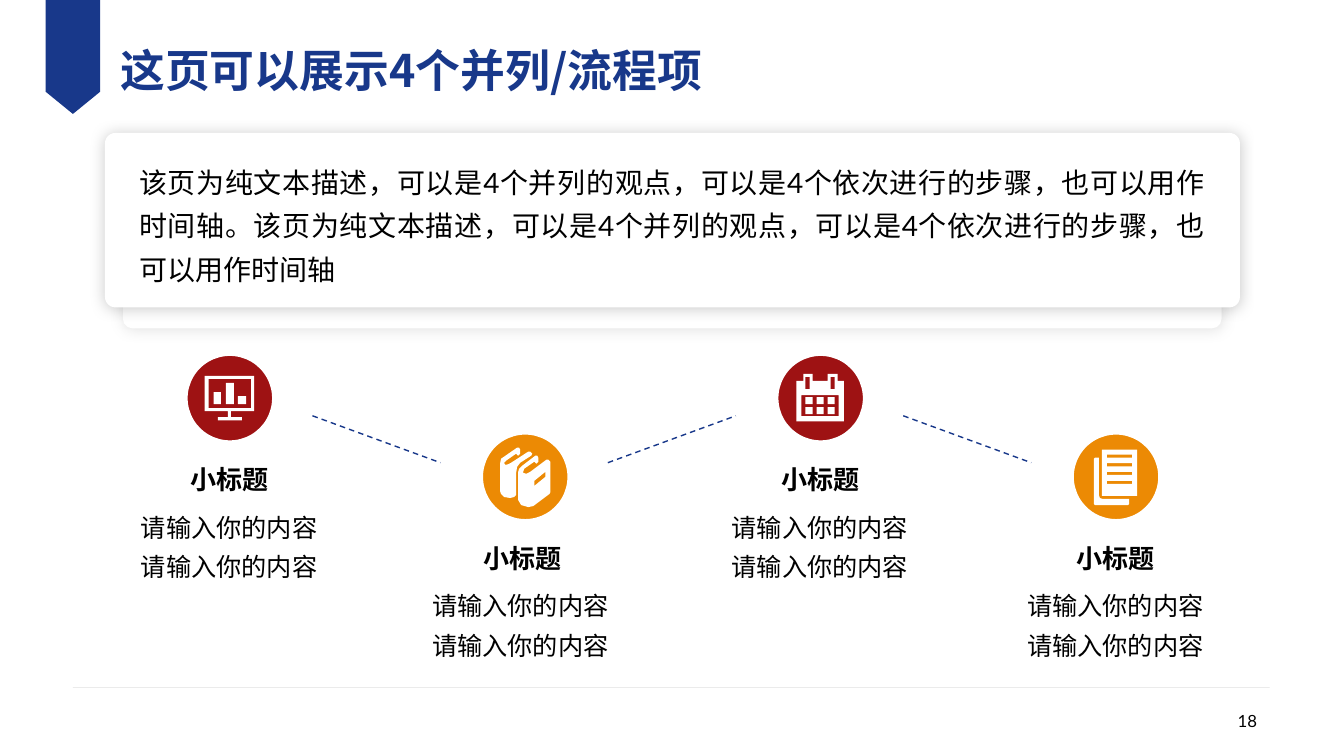
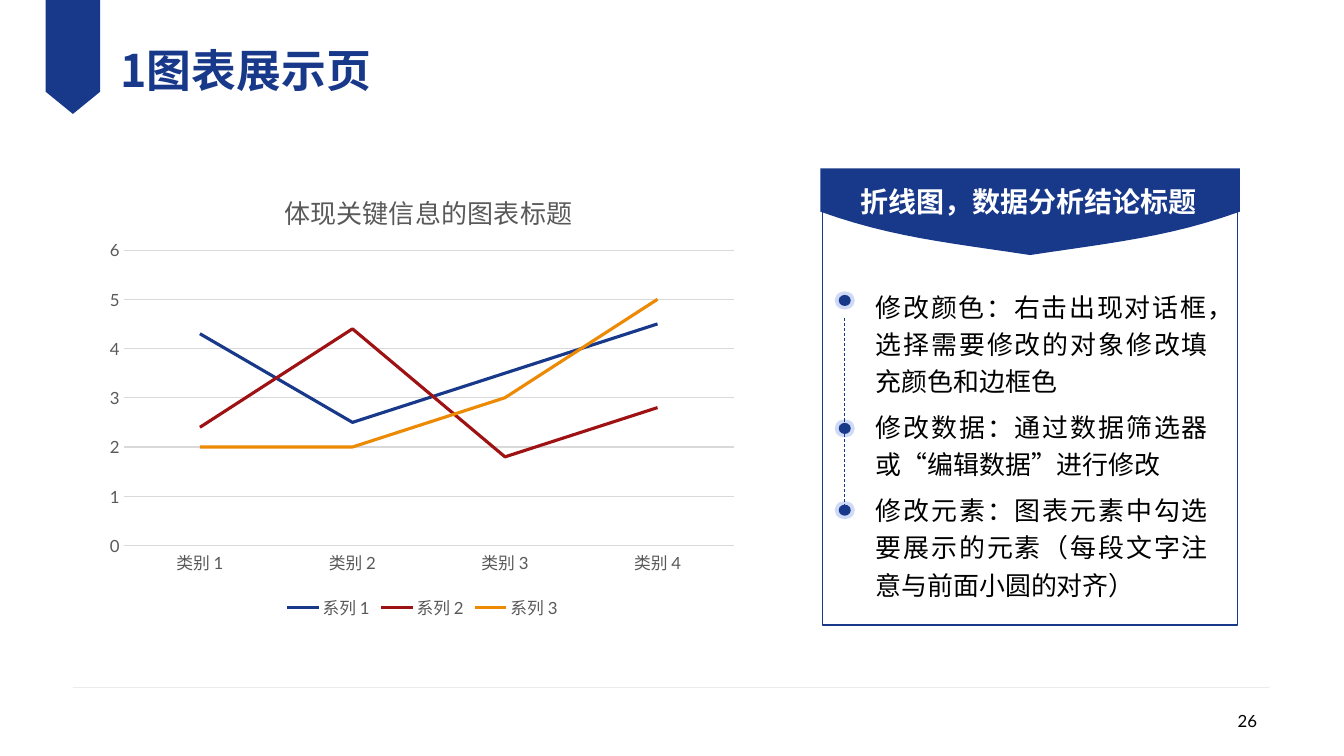
from lxml.etree import SubElement as Sub
from pptx import Presentation
from pptx.chart.data import CategoryChartData as Data
from pptx.dml.color import RGBColor as RGB
from pptx.enum.chart import XL_CHART_TYPE as Kind, XL_LEGEND_POSITION as Spot
from pptx.enum.chart import XL_TICK_MARK as Tick
from pptx.enum.dml import MSO_LINE as Dash
from pptx.enum.shapes import MSO_CONNECTOR as Link, MSO_SHAPE as Form
from pptx.enum.text import MSO_ANCHOR as Anchor, PP_ALIGN as Align
from pptx.oxml import parse_xml
from pptx.oxml.ns import qn
from pptx.util import Pt

BLUE, RED, GOLD, PALE = "18388A", "9E1213", "EC8A04", "88A4EA"
BLACK, WHITE, GREY, RULE, GRID = "000000", "FFFFFF", "595959", "BFBFBF", "D9D9D9"
LATO, NOTO = "Lato", "Noto Sans CJK SC"


def rgb(code):
    return RGB.from_string(code)


# ---- shared drawing helpers ----
def fade(props, share):
    for clr in props.iter(qn("a:srgbClr")):
        Sub(clr, qn("a:alpha")).set("val", str(share * 1000))


def paint(shape, fill=None, line=None, width=1):
    shape.shadow.inherit = False
    if fill:
        shape.fill.solid()
        shape.fill.fore_color.rgb = rgb(fill)
    else:
        shape.fill.background()
    if line:
        shape.line.color.rgb = rgb(line)
        shape.line.width = Pt(width)
    else:
        shape.line.fill.background()
    return shape


def block(slide, form, box, *look):
    return paint(slide.shapes.add_shape(form, *map(Pt, box)), *look)


def wire(slide, ends, color, width, dash=None):
    line = slide.shapes.add_connector(Link.STRAIGHT, *map(Pt, ends))
    line.line.color.rgb = rgb(color)
    line.line.width = Pt(width)
    if dash:
        line.line.dash_style = dash
    props = line._element.spPr
    Sub(props, qn("a:effectLst"))
    return props


def outline(slide, left, top, loops, fill, unit=1.0):
    """Fill closed loops; a loop inside another cuts a hole."""
    pen = None
    for loop in loops:
        pts = [(x * 100, y * 100) for x, y in loop]
        if pen is None:
            pen = slide.shapes.build_freeform(*pts[0], scale=Pt(unit) / 100)
        else:
            pen.move_to(*pts[0])
        pen.add_line_segments(pts[1:], close=True)
    return paint(pen.convert_to_shape(Pt(left), Pt(top)), fill)


def face(font, size, color, name=LATO, bold=False):
    font.size, font.bold, font.name = Pt(size), bold, name
    font.color.rgb = rgb(color)
    props = font._element
    east = props.find(qn("a:ea"))
    if east is None:
        east = parse_xml('<a:ea xmlns:a="http://schemas.openxmlformats.org/'
                         f'drawingml/2006/main" typeface="{NOTO}"/>')
        props.find(qn("a:latin")).addnext(east)


def write(slide, box, text, size, color=BLACK, name=LATO, bold=False,
          align=Align.LEFT, anchor=Anchor.TOP, space=None, after=None,
          flush=False, wrap=True):
    frame = slide.shapes.add_textbox(*map(Pt, box)).text_frame
    frame.word_wrap = wrap
    frame.vertical_anchor = anchor
    if flush:
        frame.margin_left = frame.margin_right = 0
        frame.margin_top = frame.margin_bottom = 0
    frame.text = text
    for para in frame.paragraphs:
        para.alignment = align
        if space:
            para.line_spacing = space
        if after:
            para.space_after = Pt(after)
        for run in para.runs:
            face(run.font, size, color, name, bold)


def base(deck, title, page):
    slide = deck.slides.add_slide(deck.slide_layouts[6])
    fade(wire(slide, (52, 491, 907, 491), RULE, 0.25), 47)
    tab = [(0, 0), (39, 0), (39, 65.5), (19.5, 81.4), (0, 65.5)]
    outline(slide, 32.6, 0, [tab], BLUE)
    write(slide, (86, 19, 643, 62), title, 32, BLUE, NOTO, True,
          anchor=Anchor.MIDDLE, flush=True)
    write(slide, (689, 500.4, 216, 28.8), page, 12, align=Align.RIGHT,
          anchor=Anchor.MIDDLE)
    return slide


# ---- icons on a 90-unit grid ----
def rect(x, y, w, h):
    return [(x, y), (x + w, y), (x + w, y + h), (x, y + h)]


SCREEN = [
    [(20, 23), (69, 23), (69, 58), (46, 58), (46, 64), (57, 64), (57, 67),
     (33, 67), (33, 64), (43, 64), (43, 58), (20, 58)],
    rect(24, 26, 42, 29), rect(29, 39, 7, 12), rect(41, 30, 8, 21), rect(53, 43, 8, 8)]
BOOKS = [
    [(36, 41), (36, 63), (34, 65), (30, 66), (24, 65), (21, 62), (20, 59), (20, 32),
     (21, 27), (24, 25), (37, 16), (39, 16), (40, 18), (40, 22), (38, 24), (36, 22),
     (26, 29), (24, 31), (25, 33), (27, 33), (31, 31), (48, 20), (50, 20), (52, 22),
     (51, 24), (40, 31), (37, 35)],
    [(70, 30), (70, 60), (69, 62), (53, 74), (48, 75), (41, 73), (38, 68), (38, 40),
     (39, 37), (42, 34), (55, 24), (57, 24), (58, 26), (58, 30), (56, 32), (54, 30),
     (44, 37), (43, 40), (43, 41), (46, 42), (50, 40), (66, 28), (68, 28)],
    [(65, 40), (54, 49), (54, 54), (65, 45)]]
DATES = [
    [(28, 21), (37, 21), (37, 28), (52, 28), (52, 21), (62, 21), (62, 28), (68, 28),
     (68, 68), (21, 68), (21, 28), (28, 28)],
    rect(26, 42, 37, 21), rect(30, 24, 4, 12), rect(55, 24, 4, 12)]
DATES += [rect(x, y, 7, 7) for x in (30, 41, 52) for y in (44, 54)]
PAGES = [
    [(58, 67), (58, 72), (57, 73), (24, 73), (23, 72), (23, 27), (24, 26), (28, 26),
     (28, 63), (29, 66), (32, 67)],
    rect(31, 18, 35, 46)] + [rect(36, y, 25, 3) for y in (23, 31.5, 40, 49)]


# ---- four-item slide ----
def card(slide, box, dark):
    shape = block(slide, Form.ROUNDED_RECTANGLE, box, WHITE)
    shape.adjustments[0] = 0.06
    glow = Sub(shape._element.spPr.find(qn("a:effectLst")), qn("a:outerShdw"))
    glow.set("blurRad", str(Pt(10)))
    Sub(glow, qn("a:srgbClr")).set("val", BLACK)
    fade(glow, dark)


def item(slide, left, top, color, icon, shift):
    size = 64.8
    block(slide, Form.OVAL, (left, top, size, size), color, WHITE, 4.5)
    outline(slide, left, top, icon, WHITE, size / 90)
    write(slide, (left - 52.6 + shift / 2, top + 70.2, 169.2, 34.6), "小标题", 18.6,
          bold=True, align=Align.CENTER, anchor=Anchor.BOTTOM, space=1.3)
    write(slide, (left - 44.4 + shift, top + 103.6, 152.6, 90),
          "请输入你的内容请输入你的内容", 18, align=Align.CENTER, space=1.3)


def steps(deck):
    slide = base(deck, "这页可以展示4个并列/流程项", "18")
    card(slide, (87.8, 118, 784.8, 116.6), 11)
    card(slide, (75, 95, 810.7, 124.6), 20)
    write(slide, (99.4, 96.5, 761, 122.4),
          "该页为纯文本描述，可以是4个并列的观点，可以是4个依次进行的步骤，也可以用作时间轴。"
          "该页为纯文本描述，可以是4个并列的观点，可以是4个依次进行的步骤，也可以用作时间轴",
          20, align=Align.JUSTIFY, anchor=Anchor.MIDDLE, space=1.3, flush=True)
    step, rows, links = 211, (252, 308.2), (297, 330.5)
    for i, icon in enumerate((SCREEN, BOOKS, DATES, PAGES)):
        low = i % 2
        item(slide, 131.8 + i * step, rows[low], (RED, GOLD)[low], icon,
             -3 if i == 1 else 0)
        if i < 3:
            x = 223.2 + i * step
            wire(slide, (x, links[low], x + 91.4, links[1 - low]), BLUE, 1, Dash.DASH)


# ---- chart slide ----
def layout(node, spot, **parts):
    """Place a chart part by shares of the chart area."""
    lay = node.find(qn("c:layout"))
    if lay is None:
        lay = node.makeelement(qn("c:layout"))
        node.insert(spot, lay)
    hand = Sub(lay, qn("c:manualLayout"))
    if "w" in parts:
        Sub(hand, qn("c:layoutTarget")).set("val", "inner")
    for key in "xy":
        Sub(hand, qn(f"c:{key}Mode")).set("val", "edge")
    for key, val in parts.items():
        Sub(hand, qn(f"c:{key}")).set("val", str(val))


def graph(slide, box):
    data = Data()
    data.categories = [f"类别 {n}" for n in range(1, 5)]
    rows = (4.3, 2.5, 3.5, 4.5), (2.4, 4.4, 1.8, 2.8), (2, 2, 3, 5)
    for n, row in enumerate(rows, 1):
        data.add_series(f"系列 {n}", row)
    chart = slide.shapes.add_chart(Kind.LINE, *map(Pt, box), data).chart
    face(chart.font, 12, GREY)
    # Title and legend
    chart.has_title = True
    head = chart.chart_title.text_frame
    head.text = "体现关键信息的图表标题"
    face(head.paragraphs[0].runs[0].font, 18.6, GREY)
    layout(chart.chart_title._element, 1, x=0.28, y=0.05)
    chart.has_legend = True
    chart.legend.position = Spot.BOTTOM
    chart.legend.include_in_layout = False
    face(chart.legend.font, 12, GREY)
    # Axes
    cat, val = chart.category_axis, chart.value_axis
    for axis in (cat, val):
        axis.major_tick_mark = axis.minor_tick_mark = Tick.NONE
        face(axis.tick_labels.font, 12, GREY)
    val.minimum_scale, val.maximum_scale, val.major_unit = 0, 6, 1
    val.format.line.fill.background()
    val.has_major_gridlines = True
    for line in (cat.format.line, val.major_gridlines.format.line):
        line.color.rgb = rgb(GRID)
        line.width = Pt(0.75)
    # Plot
    plot = chart.plots[0]
    plot.vary_by_categories = False
    layout(plot._element.getparent(), 0, x=0.04, y=0.19, w=0.94, h=0.64)
    for row, color in zip(plot.series, (BLUE, RED, GOLD)):
        row.smooth = False
        row.format.line.color.rgb = rgb(color)
        row.format.line.width = Pt(2.25)


def curve(a, b, c, d, count=12):
    def mix(t, i):
        u = 1 - t
        return u**3 * a[i] + 3 * u * u * t * b[i] + 3 * u * t * t * c[i] + t**3 * d[i]
    return [(mix(n / count, 0), mix(n / count, 1)) for n in range(count + 1)]


def dot(slide, x, y, w, h, fill):
    return block(slide, Form.OVAL, (x - w / 2, y - h / 2, w, h), fill)


def panel(slide, left, top, wide, high):
    # Notes with their dots
    write(slide, (left + 31, top + 50.4, 251.3, 240.5),
          "修改颜色：右击出现对话框，选择需要修改的对象修改填充颜色和边框色\n"
          "修改数据：通过数据筛选器或“编辑数据”进行修改\n"
          "修改元素：图表元素中勾选要展示的元素（每段文字注意与前面小圆的对齐）",
          18.5, align=Align.JUSTIFY, space=1.2, after=6)
    mid = left + 15.9
    for y in (64.8, 156.2, 214.6):
        fade(dot(slide, mid, top + y, 14.4, 13, PALE)._element.spPr, 40)
        dot(slide, mid, top + y, 8.6, 7.9, BLUE)
    for y, end in ((77.7, 149.7), (149.7, 216)):
        wire(slide, (mid, top + y, mid, top + end), BLUE, 0.5, Dash.DASH)
    block(slide, Form.RECTANGLE, (left, top, wide, high), None, BLUE, 1)
    # Pointed heading band
    span = wide + 3
    half = curve((0, 31), (50, 49), (90, 53), (span / 2, 62))
    band = [(0, 0)] + half + [(span - x, y) for x, y in half[-2::-1]] + [(span, 0)]
    outline(slide, left - 1.5, top - 29.6, [band], BLUE)
    write(slide, (left + 20, top - 28.8, 257, 36), "折线图，数据分析结论标题", 20,
          WHITE, bold=True, align=Align.JUSTIFY, space=1.3, wrap=False)


def trend(deck):
    slide = base(deck, "1图表展示页", "26")
    graph(slide, (69.8, 116, 463.7, 329.8))
    panel(slide, 587.5, 149.8, 296.6, 296.6)


def main():
    deck = Presentation()
    deck.slide_width, deck.slide_height = Pt(960), Pt(540)
    steps(deck)
    trend(deck)
    deck.save("out.pptx")


if __name__ == "__main__":
    main()
